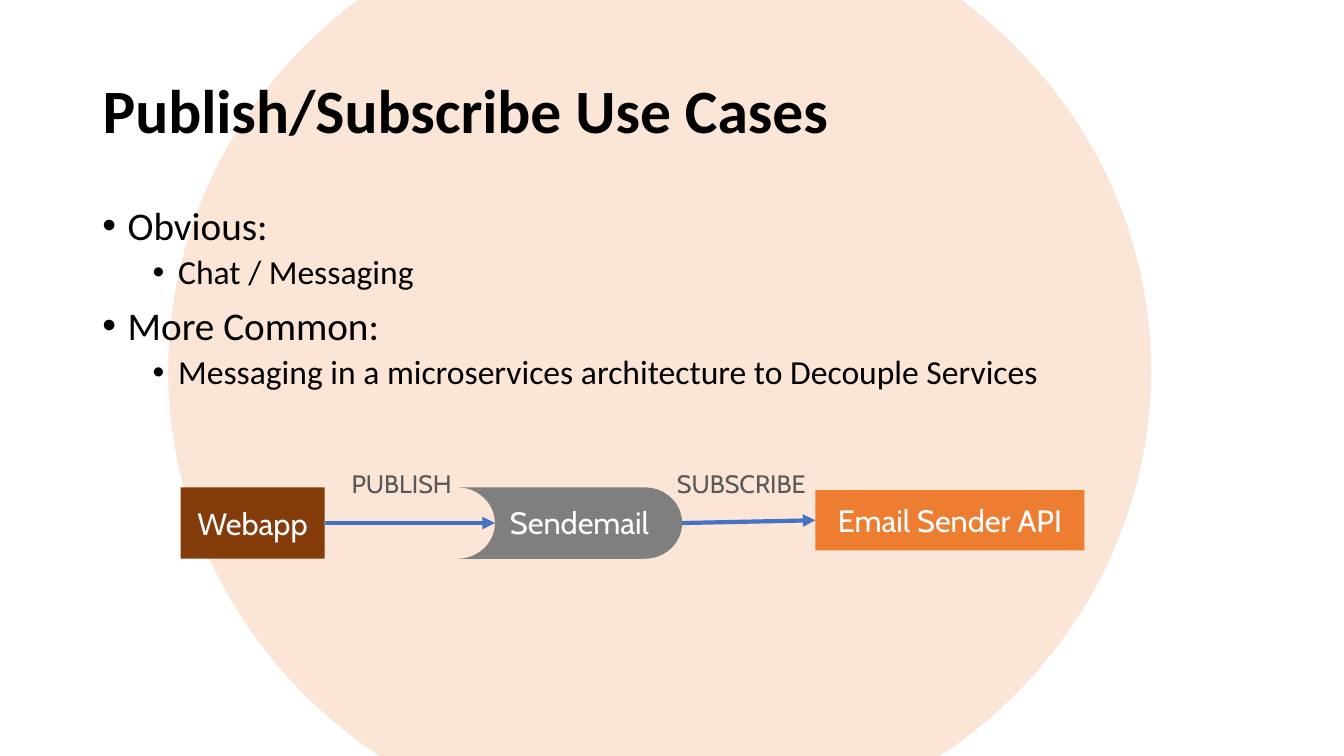
import pptx
import pptx.util
import pptx.dml.color
import pptx.enum.shapes
import pptx.enum.text
import pptx.oxml.ns
from lxml import etree

Cm, Pt = pptx.util.Cm, pptx.util.Pt
SHAPE = pptx.enum.shapes.MSO_SHAPE
ALIGN = pptx.enum.text.PP_ALIGN
ANCHOR = pptx.enum.text.MSO_ANCHOR
qn = pptx.oxml.ns.qn

COLORS = {"circle": "FBE5D6", "text": "000000", "webapp": "843C0B",
          "queue": "7F7F7F", "api": "ED7D31", "arrow": "4472C4",
          "label": "595959", "white": "FFFFFF"}

BULLETS = [(0, "Obvious:"), (1, "Chat / Messaging"), (0, "More Common:"),
           (1, "Messaging in a microservices architecture to Decouple Services")]
# Per level: text indent in cm, size, space before
LEVELS = [(0.64, 28, 10), (1.91, 24, 5)]
HANGING = 0.64


def rgb(name):
    return pptx.dml.color.RGBColor.from_string(COLORS[name])


def format_runs(p, size, color, font="Calibri", bold=False):
    for r in p.runs:
        r.font.size, r.font.name, r.font.bold = Pt(size), font, bold
        r.font.color.rgb = rgb(color)


def add_filled(slide, kind, box, color):
    sp = slide.shapes.add_shape(kind, *map(Cm, box))
    sp.shadow.inherit = False
    sp.fill.solid()
    sp.fill.fore_color.rgb = rgb(color)
    sp.line.fill.background()
    return sp


def add_background(slide, box):
    sp = add_filled(slide, SHAPE.FLOWCHART_CONNECTOR, box, "circle")
    slide.shapes._spTree.insert(2, sp._element)  # behind the title


def set_title(slide, box):
    title = slide.shapes.title
    title.left, title.top, title.width, title.height = map(Cm, box)
    tf = title.text_frame
    tf.text = "Publish/Subscribe Use Cases"
    tf.vertical_anchor = ANCHOR.MIDDLE
    p = tf.paragraphs[0]
    p.alignment, p.line_spacing = ALIGN.LEFT, 0.9
    format_runs(p, 44, "text", bold=True)


def add_bullets(slide, box):
    tf = slide.shapes.add_textbox(*map(Cm, box)).text_frame
    tf.word_wrap = True
    for i, (level, text) in enumerate(BULLETS):
        p = tf.add_paragraph() if i else tf.paragraphs[0]
        indent, size, before = LEVELS[level]
        p.text, p.level, p.line_spacing = text, level, 0.9
        if i:
            p.space_before = Pt(before)
        pPr = p._p.get_or_add_pPr()
        pPr.set("marL", str(Cm(indent)))
        pPr.set("indent", str(-Cm(HANGING)))
        etree.SubElement(pPr, qn("a:buFont")).set("typeface", "Arial")
        etree.SubElement(pPr, qn("a:buChar")).set("char", "•")
        format_runs(p, size, "text")


def add_service(slide, box, text, color):
    sp = add_filled(slide, SHAPE.RECTANGLE, box, color)
    tf = sp.text_frame
    tf.text = text
    tf.word_wrap = True
    tf.vertical_anchor = ANCHOR.MIDDLE
    tf.paragraphs[0].alignment = ALIGN.CENTER
    format_runs(tf.paragraphs[0], 22, "white", "Cabin")
    return sp


def add_label(slide, box, text, size, color):
    tf = slide.shapes.add_textbox(*map(Cm, box)).text_frame
    tf.word_wrap = True
    tf.text = text
    format_runs(tf.paragraphs[0], size, color, "Cabin")


def add_arrow(slide, start, end):
    line = slide.shapes.add_connector(
        pptx.enum.shapes.MSO_CONNECTOR.STRAIGHT, *map(Cm, start + end))
    line.line.width = Pt(3)
    line.line.color.rgb = rgb("arrow")
    etree.SubElement(line.line._get_or_add_ln(), qn("a:tailEnd")).set("type", "triangle")
    etree.SubElement(line._element.spPr, qn("a:effectLst"))


def add_message_flow(slide, box):
    """Webapp -> queue -> API, laid out from the left and top of the box."""
    left, top, width, height = box
    block_h, api_w, api_h = 1.8, 6.78, 1.52
    block_top = top + height - block_h
    middle = block_top + block_h / 2
    webapp_w, queue_x, queue_w = 3.63, left + 6.98, 5.66
    api_x = left + width - api_w
    api_middle = middle - 0.07

    add_arrow(slide, (left + webapp_w, middle), (queue_x + queue_w / 6, middle))
    add_service(slide, (left, block_top, webapp_w, block_h), "Webapp", "webapp")
    add_service(slide, (api_x, api_middle - api_h / 2, api_w, api_h),
                "Email Sender API", "api")
    queue = add_filled(slide, SHAPE.FLOWCHART_STORED_DATA,
                       (queue_x, block_top, queue_w, block_h), "queue")
    queue.rotation = 180
    add_label(slide, (queue_x + 1.07, block_top + 0.3, 4.42, 1.19),
              "Sendemail", 22, "white")
    add_arrow(slide, (queue_x + queue_w, middle), (api_x, api_middle))
    for x, w, text in ((left + 4.06, 3.2, "PUBLISH"),
                       (left + 12.26, 3.9, "SUBSCRIBE")):
        add_label(slide, (x, top, w, 1.02), text, 18, "label")


def main():
    prs = pptx.Presentation()
    prs.slide_width, prs.slide_height = Cm(33.87), Cm(19.05)
    slide = prs.slides.add_slide(prs.slide_layouts.get_by_name("Title Only"))
    add_background(slide, (4.24, -2.49, 24.77, 23.65))
    set_title(slide, (2.33, 1.02, 29.21, 3.68))
    add_bullets(slide, (2.33, 5.08, 29.21, 12.09))
    add_message_flow(slide, (4.55, 11.67, 22.78, 2.41))
    prs.save("out.pptx")


if __name__ == "__main__":
    main()
